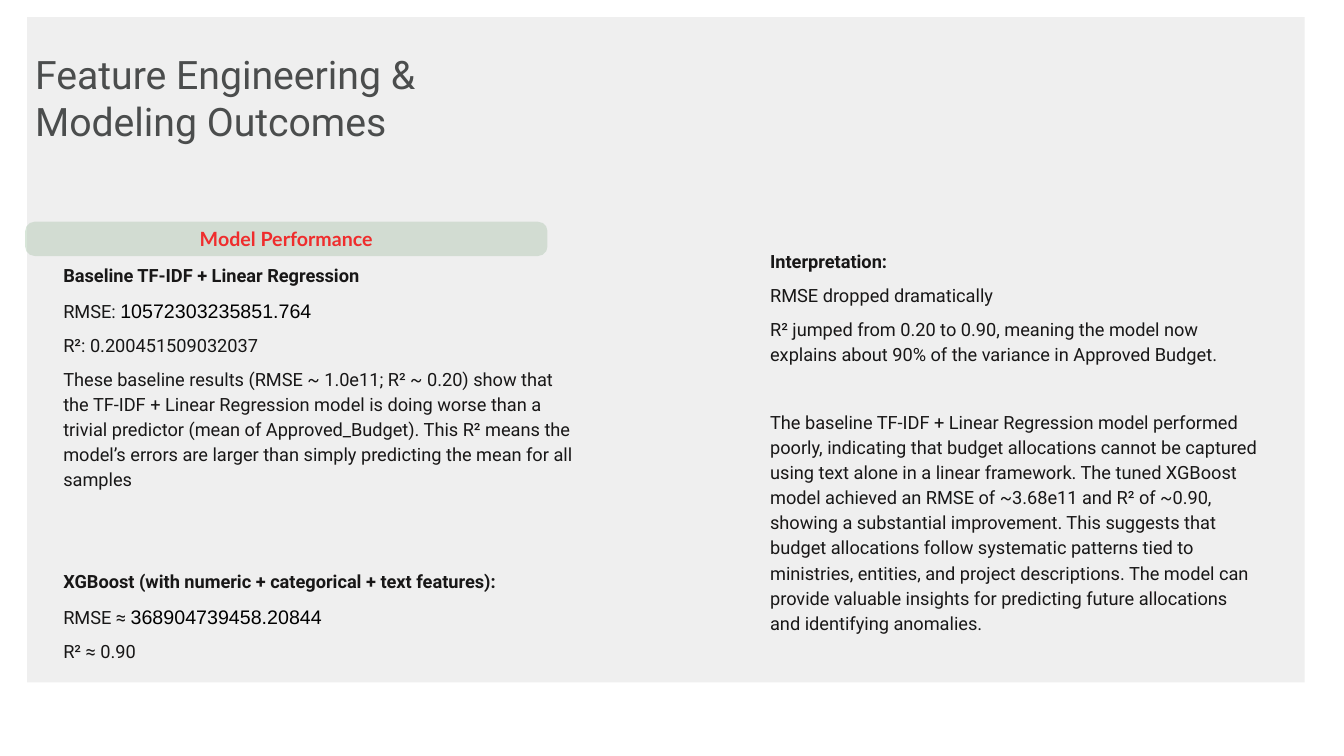
from lxml.etree import SubElement
from pptx import Presentation
from pptx.dml.color import RGBColor
from pptx.enum.shapes import MSO_SHAPE
from pptx.enum.text import MSO_ANCHOR, PP_ALIGN
from pptx.oxml.ns import qn
from pptx.util import Inches, Pt

TITLE = RGBColor(0x27, 0x2A, 0x2A)
INK = RGBColor(0x18, 0x17, 0x17)
BLACK = RGBColor(0, 0, 0)
RED = RGBColor(0xFF, 0, 0)
SAGE = RGBColor(0xD8, 0xE6, 0xD9)
VEIL = RGBColor(0xBF, 0xBF, 0xBF)

LINE_SPACING = 1.15
GAP = 6.3          # points between paragraphs
EMPTY_LINE = 24.3  # points: one body line plus its gap


def add_run(p, text, size=13, font="Roboto", color=INK, bold=False):
    r = p.add_run()
    r.text = text
    r.font.size = Pt(size)
    r.font.name = font
    r.font.color.rgb = color
    r.font.bold = bold


def add_box(s, left, top, width, height):
    tf = s.shapes.add_textbox(Inches(left), Inches(top), Inches(width), Inches(height)).text_frame
    tf.word_wrap = True
    return tf


def add_panel(s, shape, left, top, width, height, color):
    sp = s.shapes.add_shape(shape, Inches(left), Inches(top), Inches(width), Inches(height))
    sp.shadow.inherit = False
    sp.fill.solid()
    sp.fill.fore_color.rgb = color
    sp.line.fill.background()
    return sp


def add_title(s, left, top, width, height):
    tf = add_box(s, left, top, width, height)
    add_run(tf.paragraphs[0], "Feature Engineering & Modeling Outcomes", size=28, color=TITLE)


def add_section_label(s, left, top, width, height):
    sp = add_panel(s, MSO_SHAPE.ROUNDED_RECTANGLE, left, top, width, height, SAGE)
    sp.adjustments[0] = 0.275
    tf = sp.text_frame
    tf.vertical_anchor = MSO_ANCHOR.MIDDLE
    p = tf.paragraphs[0]
    p.alignment = PP_ALIGN.CENTER
    add_run(p, "Model Performance", size=14, font="Lato", color=RED, bold=True)


def add_veil(s, left, top, width, height):
    sp = add_panel(s, MSO_SHAPE.RECTANGLE, left, top, width, height, VEIL)
    # Make the fill 24% opaque
    color = sp.fill._xPr.find(qn("a:solidFill"))[0]
    SubElement(color, qn("a:alpha"), val="24000")


def add_column(s, left, top, width, height, paragraphs, inset_y=0.05):
    """Each paragraph is (text, measured value, bold, empty lines above)."""
    tf = add_box(s, left, top, width, height)
    tf.margin_top = tf.margin_bottom = Inches(inset_y)
    for i, (text, value, bold, skipped) in enumerate(paragraphs):
        p = tf.add_paragraph() if i else tf.paragraphs[0]
        p.line_spacing = LINE_SPACING
        p.space_before = Pt(GAP + skipped * EMPTY_LINE if i else 0)
        add_run(p, text, bold=bold)
        if value:
            add_run(p, value, size=14, font="Arial", color=BLACK)


RESULTS = [
    ("Baseline TF-IDF + Linear Regression", "", True, 0),
    ("RMSE: ", "10572303235851.764", False, 0),
    ("R²: 0.200451509032037", "", False, 0),
    ("These baseline results (RMSE ~ 1.0e11; R² ~ 0.20) show that the TF-IDF + Linear "
     "Regression model is doing worse than a trivial predictor (mean of Approved_Budget). "
     "This R² means the model’s errors are larger than simply predicting the mean for all "
     "samples", "", False, 0),
    ("XGBoost (with numeric + categorical + text features):", "", True, 2),
    ("RMSE ≈ ", "368904739458.20844", False, 0),
    ("R² ≈ 0.90", "", False, 0),
]

INTERPRETATION = [
    ("Interpretation:", "", True, 0),
    ("RMSE dropped dramatically", "", False, 0),
    ("R² jumped from 0.20 to 0.90, meaning the model now explains about 90% of the "
     "variance in Approved Budget.", "", False, 0),
    ("The baseline TF-IDF + Linear Regression model performed poorly, indicating that "
     "budget allocations cannot be captured using text alone in a linear framework. The "
     "tuned XGBoost model achieved an RMSE of ~3.68e11 and R² of ~0.90, showing a "
     "substantial improvement. This suggests that budget allocations follow systematic "
     "patterns tied to ministries, entities, and project descriptions. The model can "
     "provide valuable insights for predicting future allocations and identifying "
     "anomalies.", "", False, 1),
]


def main():
    prs = Presentation()
    prs.slide_width, prs.slide_height = Inches(13.33), Inches(7.5)
    s = prs.slides.add_slide(prs.slide_layouts[6])
    # The veil lies over the title and label, under the columns
    add_title(s, 0.25, 0.45, 4.87, 1.28)
    add_section_label(s, 0.25, 2.2, 5.18, 0.34)
    add_veil(s, 0.27, 0.17, 12.67, 6.6)
    add_column(s, 7.54, 2.35, 5.06, 3.78, INTERPRETATION, inset_y=0.1)
    add_column(s, 0.53, 2.54, 5.27, 3.82, RESULTS)
    prs.save("out.pptx")


if __name__ == "__main__":
    main()
